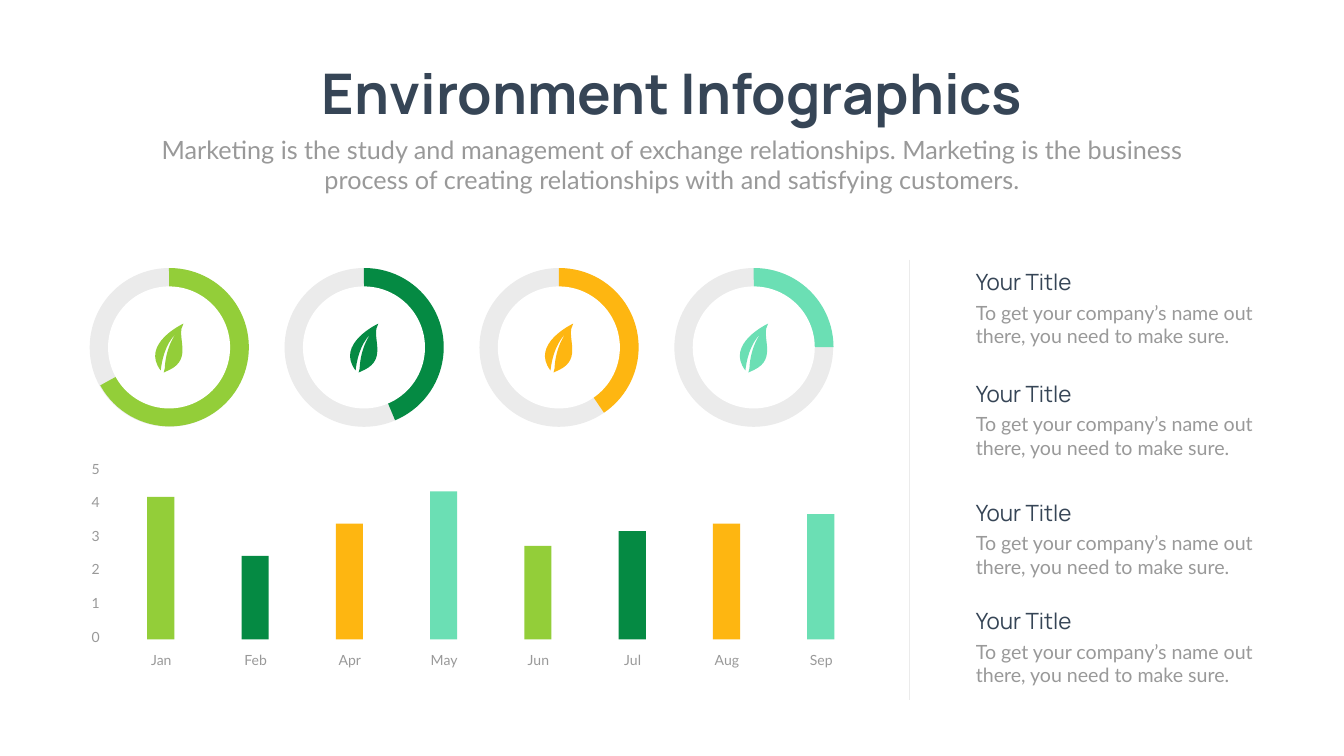
from lxml import etree
from pptx import Presentation
from pptx.dml.color import RGBColor
from pptx.enum import shapes, text
from pptx.oxml.ns import qn
from pptx.util import Cm, Pt

NAVY, GREY, PALE, WHITE = "364556", "999999", "EBEBEB", "FFFFFF"
PALETTE = ["93CE39", "058A43", "FEB611", "6BDFB4"]
SHARES = [0.67, 0.437, 0.405, 0.25]
BARS = [("Jan", 7.19), ("Feb", 4.22), ("Apr", 5.84), ("May", 7.47),
        ("Jun", 4.72), ("Jul", 5.46), ("Aug", 5.84), ("Sep", 6.32)]
BAR_LEFT, BAR_PITCH, BAR_WIDTH, BAR_BASE = 7.42, 4.75, 1.37, 32.23
NOTE_TOPS = [13.39, 19.02, 25.02, 30.48]
RING_LEFT, RING_TOP, RING_SIZE, RING_PITCH = 4.52, 13.51, 8.0, 9.82
PIE_SIZE, HOLE_SIZE = 7.98, 6.15
LEAF_WIDTH, LEAF_HEIGHT = 56, 97
LEAF_START = (56, 0)
LEAF_CURVES = [
    ((56, 0), (-30, 40), (11, 93)),
    ((13, 75), (19, 42), (41, 20)),
    ((41, 20), (21, 45), (19, 89)),
    ((19, 92), (19, 94), (17, 97)),
    ((21, 95), (26, 93), (28, 92)),
    ((76, 69), (40, 25), (56, 0)),
]


def colour(value):
    return RGBColor.from_string(value)


def write(box, content, size, font="Lato", fill=GREY, bold=False,
          align=text.PP_ALIGN.LEFT, wrap=True, gap=0):
    frame = box.text_frame
    frame.word_wrap = wrap
    frame.auto_size = text.MSO_AUTO_SIZE.NONE
    frame.vertical_anchor = text.MSO_ANCHOR.TOP
    for index, line in enumerate(content.split("\n")):
        paragraph = frame.add_paragraph() if index else frame.paragraphs[0]
        paragraph.alignment = align
        paragraph.line_spacing = 1.0
        paragraph.space_before = Pt(gap if index else 0)
        span = paragraph.add_run()
        span.text = line
        span.font.name = font
        span.font.size = Pt(size)
        span.font.bold = bold
        span.font.color.rgb = colour(fill)


def add_text(page, left, top, width, height, content, size, **style):
    box = page.shapes.add_textbox(Cm(left), Cm(top), Cm(width), Cm(height))
    write(box, content, size, **style)


def paint(shape, fill):
    shape.shadow.inherit = False
    shape.fill.solid()
    shape.fill.fore_color.rgb = colour(fill)
    shape.line.fill.background()


def add_filled(page, kind, left, top, width, height, fill):
    shape = page.shapes.add_shape(kind, Cm(left), Cm(top), Cm(width), Cm(height))
    paint(shape, fill)
    return shape


def add_ring(page, left, share, fill):
    kinds = shapes.MSO_SHAPE
    add_filled(page, kinds.OVAL, left, RING_TOP, RING_SIZE, RING_SIZE, PALE)
    pie = add_filled(page, kinds.PIE, left + 0.04, RING_TOP, PIE_SIZE, PIE_SIZE, fill)
    pie.adjustments[0] = 269.5 * 0.6
    pie.adjustments[1] = (share * 360 - 90) % 360 * 0.6
    inset = (RING_SIZE - HOLE_SIZE) / 2
    add_filled(page, kinds.OVAL, left + inset, RING_TOP + inset,
               HOLE_SIZE, HOLE_SIZE, WHITE)


def add_step(path, tag, points):
    step = etree.SubElement(path, qn(tag))
    for x, y in points:
        etree.SubElement(step, qn("a:pt"), x=str(x), y=str(y))


def add_leaf(page, left, top, fill):
    builder = page.shapes.build_freeform(0, 0, Cm(0.0254))
    builder.add_line_segments(
        [(LEAF_WIDTH, 0), (LEAF_WIDTH, LEAF_HEIGHT), (0, LEAF_HEIGHT)], close=True)
    leaf = builder.convert_to_shape(Cm(left), Cm(top))
    path = leaf._element.spPr.find(".//" + qn("a:path"))
    for step in list(path):
        path.remove(step)
    add_step(path, "a:moveTo", [LEAF_START])
    for curve in LEAF_CURVES:
        add_step(path, "a:cubicBezTo", curve)
    add_step(path, "a:close", [])
    paint(leaf, fill)


def add_bar(page, left, month, height, fill):
    add_filled(page, shapes.MSO_SHAPE.RECTANGLE, left, BAR_BASE - height,
               BAR_WIDTH, height, fill)
    add_text(page, left - 0.23, 32.72, 1.88, 1.12, month, 20,
             align=text.PP_ALIGN.CENTER, wrap=True)


def add_divider(page, x, top, bottom):
    line = page.shapes.add_connector(
        shapes.MSO_CONNECTOR.STRAIGHT, Cm(x), Cm(top), Cm(x), Cm(bottom))
    line.line.color.rgb = colour(PALE)
    line.line.width = Pt(2)
    etree.SubElement(line._element.spPr, qn("a:effectLst"))


def add_title(page, content):
    title = page.shapes.title
    title.left, title.top = Cm(14.48), Cm(2.84)
    title.width, title.height = Cm(38.79), Cm(3.68)
    write(title, content, 80, font="Manrope", fill=NAVY, bold=True,
          align=text.PP_ALIGN.CENTER, wrap=False)


def add_note(page, top):
    add_text(page, 48.92, top, 12.67, 1.63, "Your Title", 32, font="Manrope", fill=NAVY)
    add_text(page, 48.92, top + 1.63, 15.85, 2.64,
             "To get your company’s name out there, you need to make sure.", 28)


def main():
    deck = Presentation()
    deck.slide_width, deck.slide_height = Cm(67.72), Cm(38.1)
    page = deck.slides.add_slide(deck.slide_layouts[5])
    add_title(page, "Environment Infographics")
    add_text(page, 7.42, 6.63, 52.88, 3.33,
             "Marketing is the study and management of exchange relationships. "
             "Marketing is the business process of creating relationships with "
             "and satisfying customers.", 36, align=text.PP_ALIGN.CENTER)
    for index, (share, fill) in enumerate(zip(SHARES, PALETTE)):
        left = RING_LEFT + index * RING_PITCH
        add_ring(page, left, share, fill)
        add_leaf(page, left + 3.3, RING_TOP + 2.8, fill)
    for index, (month, height) in enumerate(BARS):
        add_bar(page, BAR_LEFT + index * BAR_PITCH, month, height,
                PALETTE[index % len(PALETTE)])
    add_text(page, 3.07, 23.06, 2.21, 9.65, "5\n4\n3\n2\n1\n0", 20,
             align=text.PP_ALIGN.RIGHT, gap=24)
    add_divider(page, 45.84, 13.1, 35.3)
    for top in NOTE_TOPS:
        add_note(page, top)
    deck.save("out.pptx")


if __name__ == "__main__":
    main()
